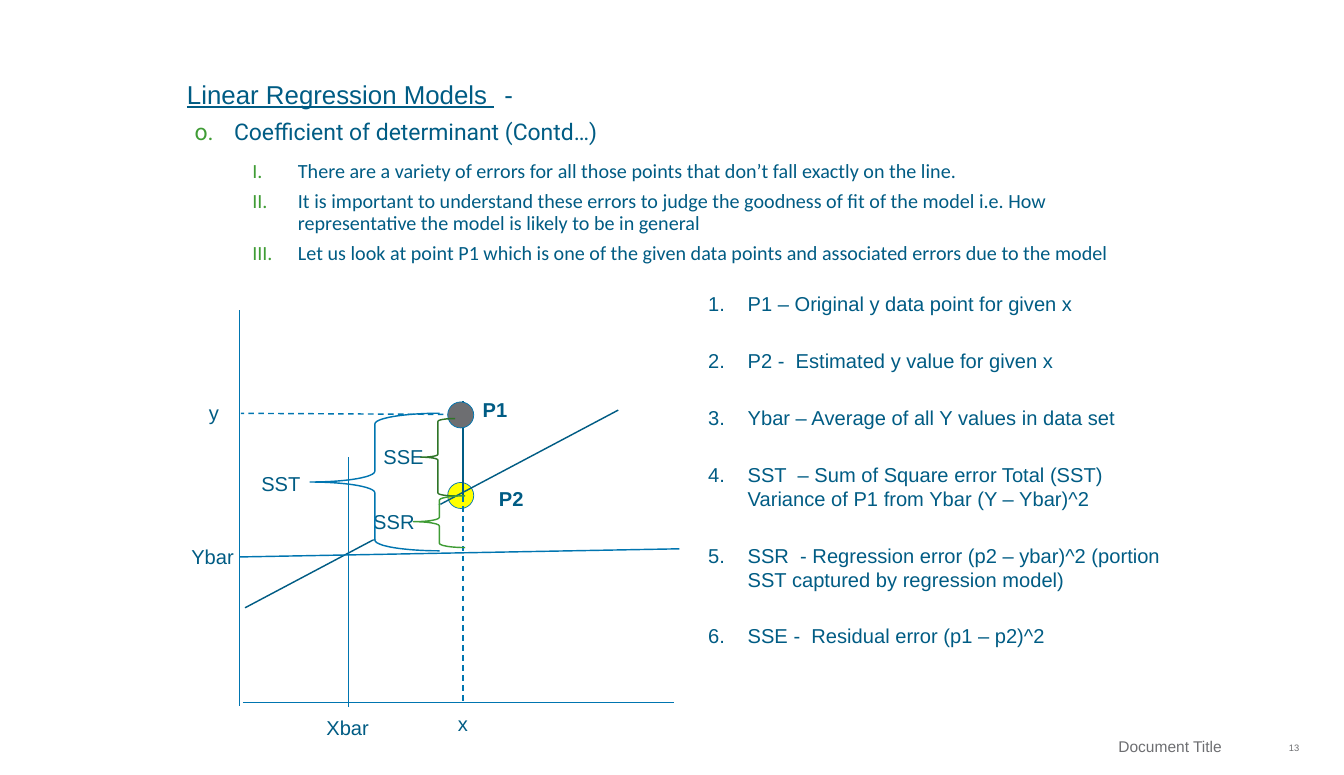
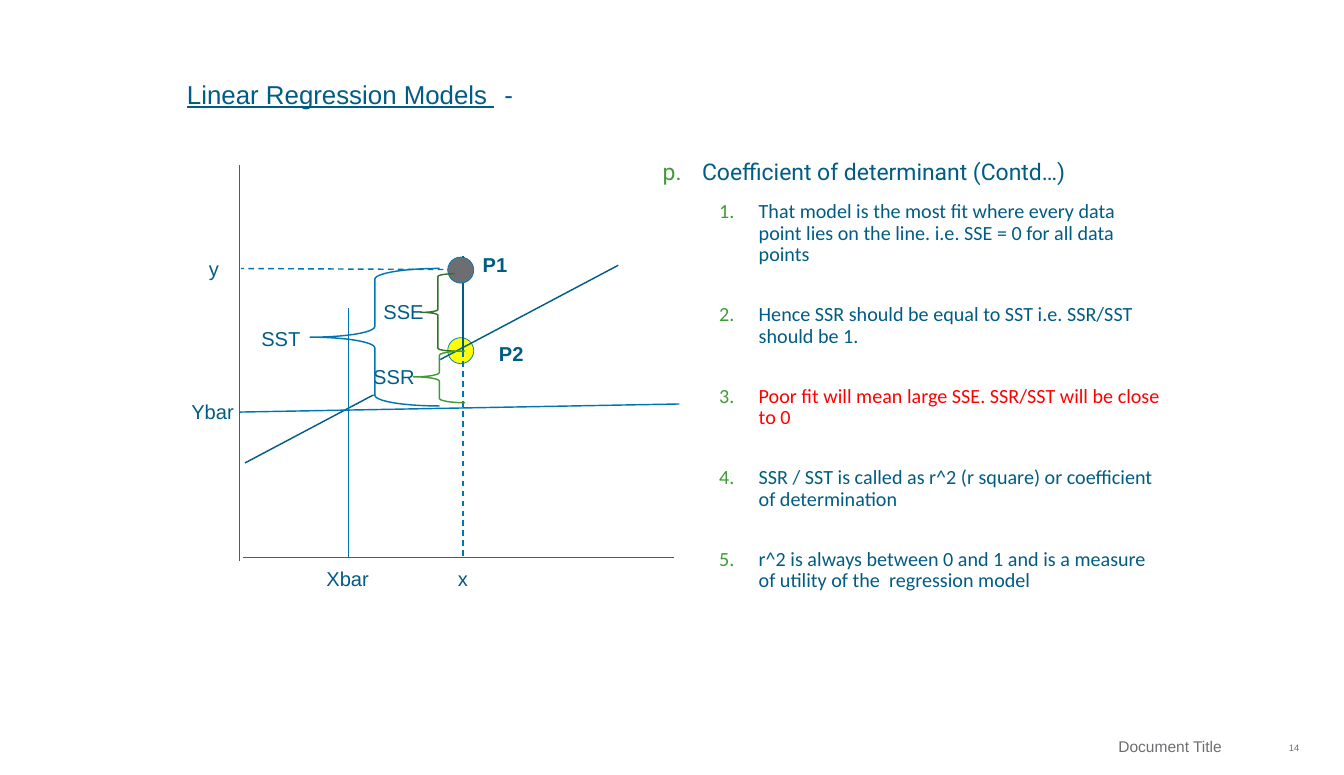
"""Build two slides on the coefficient of determination in linear regression."""
from lxml import etree
from pptx import Presentation
from pptx.dml.color import RGBColor
from pptx.enum.dml import MSO_LINE
from pptx.enum.shapes import MSO_CONNECTOR, MSO_SHAPE
from pptx.enum.text import MSO_ANCHOR, MSO_AUTO_SIZE, PP_ALIGN
from pptx.oxml.ns import qn
from pptx.util import Cm, Pt

STRAIGHT = MSO_CONNECTOR.STRAIGHT
OVAL, BRACE = MSO_SHAPE.OVAL, MSO_SHAPE.LEFT_BRACE
DASH, SOLID = MSO_LINE.DASH, MSO_LINE.SOLID
TOP, MIDDLE = MSO_ANCHOR.TOP, MSO_ANCHOR.MIDDLE
LEFT, RIGHT = PP_ALIGN.LEFT, PP_ALIGN.RIGHT
NO_FIT = MSO_AUTO_SIZE.NONE

NAVY, BLUE, GREEN, FOREST = "005C84", "0075B0", "3F9C35", "2F7528"
GREY, YELLOW, RED, WHITE = "6D6E71", "FFFF00", "FF0000", "FFFFFF"

TITLE = ("Linear Regression Models ", "\t -")
TITLE_BOX = (4.34, 1.8, 23.39, 1.14)
FOOTER = "Document Title"
FOOTER_BOX = (18.87, 17.98, 11.58, 0.71)
NUMBER_BOX = (30.73, 17.96, 1.19, 0.84)

TITLE_FONT = {"name": "Arial", "size": Pt(18)}
HEADING_FONT = {"name": "Roboto", "size": Pt(16)}
ITEM_FONT = {"name": "Calibri", "size": Pt(14)}
LABEL_FONT = {"name": "Arial", "size": Pt(14)}
FOOTER_FONT = {"name": "Arial", "size": Pt(10.8)}
NUMBER_FONT = {"name": "Arial", "size": Pt(6.5)}

SLIDES = [
    {
        "number": "13",
        "heading": "Coefficient of determinant (Contd…)",
        "heading_start": 15,
        "body_box": (4.78, 2.97, 22.86, 3.58),
        "numbering": "romanUcPeriod",
        "item_indent": (2.54, 1.12),
        "item_gap": 6,
        "items": [
            ("There are a variety of errors for all those points that don’t fall exactly on the line.", NAVY),
            ("It is important to understand these errors to judge the goodness of fit of the model "
             "i.e. How representative the model is likely to be in general", NAVY),
            ("Let us look at point P1 which is one of the given data points and associated errors "
             "due to the model", NAVY),
        ],
        "terms": [
            "P1 – Original y data point for given x",
            "P2 -  Estimated y value for given x",
            "Ybar – Average of all Y values in data set",
            "SST  – Sum of Square error Total (SST) Variance of P1 from Ybar (Y – Ybar)^2",
            "SSR  - Regression error (p2 – ybar)^2 (portion SST captured by regression model)",
            "SSE -  Residual error (p1 – p2)^2",
        ],
        "diagram_top": 7.62,
        "xbar_drop": 0.1,
    },
    {
        "number": "14",
        "heading": "Coefficient of determinant (Contd…)",
        "heading_start": 16,
        "body_box": (16.28, 3.96, 12.29, 11.18),
        "numbering": "arabicPeriod",
        "item_indent": (2.36, 0.97),
        "item_gap": 26.5,
        "items": [
            ("That model is the most fit where every data point lies on the line. "
             "i.e. SSE = 0 for all data points", NAVY),
            ("Hence SSR should be equal to SST i.e. SSR/SST should be 1.", NAVY),
            ("Poor fit will mean large SSE. SSR/SST will be close to 0", RED),
            ("SSR / SST is called as r^2 (r square) or coefficient of determination", NAVY),
            ("r^2 is always between 0 and 1 and is a measure of utility of the  regression model", NAVY),
        ],
        "terms": [],
        "diagram_top": 4.06,
        "xbar_drop": 0,
    },
]

TERMS_BOX = (17.15, 7.04, 11.71, 10.06)
HEADING_INDENT = (0.97, 0.97)

ESTIMATED_POINT = (11, 4.24, YELLOW)
OBSERVED_POINT = (11, 2.26, GREY)
POINT_SIZE = 0.64
LINES = [
    (11.63, 2.57, 5.92, 2.54, BLUE, DASH),
    (6.02, 7.32, 15.19, 2.46, NAVY, SOLID),
    (5.97, 9.65, 16.56, 9.65, BLUE, SOLID),
    (5.89, 9.73, 5.89, 0, BLUE, SOLID),
    (11.38, 4.57, 11.38, 9.65, BLUE, DASH),
    (11.38, 4.57, 11.38, 2.24, NAVY, SOLID),
    (5.89, 6.07, 16.69, 5.87, BLUE, SOLID),
]
XBAR_LINE = (8.56, 9.65, 8.56, 3.51, BLUE, SOLID)
LABELS = [
    ("SSR", 8.92, 4.78, 1.91, False),
    ("SSE", 9.17, 3.18, 1.65, False),
    ("P1", 11.61, 2.03, 1.73, True),
    ("Ybar", 4.45, 5.64, 2.11, False),
    ("SST", 6.17, 3.84, 1.47, False),
    ("y", 4.88, 2.11, 0.84, False),
    ("x", 11, 9.75, 0.84, False),
    ("P2", 12.01, 4.22, 1.73, True),
]
XBAR_LABEL = ("Xbar", 7.77, 9.73, 2.11, False)
LABEL_HEIGHT = 0.86
BRACES = [
    (10.34, 2.67, 0.84, 1.9, FOREST),
    (10.16, 4.57, 1.27, 1.27, GREEN),
    (7.62, 2.54, 3.18, 3.38, BLUE),
]


def rgb(color):
    return RGBColor.from_string(color)


def cm(values):
    return [Cm(value) for value in values]


def apply(target, values):
    for name, value in values.items():
        setattr(target, name, value)


def write(paragraph, text, font, color):
    run = paragraph.add_run()
    run.text = text
    apply(run.font, font)
    run.font.color.rgb = rgb(color)
    return run


def place(shape, box):
    apply(shape, dict(zip(("left", "top", "width", "height"), cm(box))))


def frame(shape, anchor=TOP, **margins):
    values = {"word_wrap": True, "auto_size": NO_FIT, "vertical_anchor": anchor}
    apply(shape.text_frame, {**values, **margins})
    return shape.text_frame


def no_margins(**changes):
    sides = ("margin_left", "margin_top", "margin_right", "margin_bottom")
    return {**dict.fromkeys(sides, 0), **changes}


def number(paragraph, scheme, indent, color, start=1):
    properties = paragraph._p.get_or_add_pPr()
    margin, hanging = cm(indent)
    properties.set("marL", str(margin))
    properties.set("indent", str(-hanging))
    marker = etree.SubElement(properties, qn("a:buClr"))
    etree.SubElement(marker, qn("a:srgbClr"), val=color)
    etree.SubElement(properties, qn("a:buAutoNum"), type=scheme, startAt=str(start))


def next_paragraph(text_frame, index):
    return text_frame.add_paragraph() if index else text_frame.paragraphs[0]


def add_title(slide):
    place(slide.shapes.title, TITLE_BOX)
    paragraph = frame(slide.shapes.title).paragraphs[0]
    paragraph.alignment = LEFT
    for text, underline in zip(TITLE, (True, False)):
        write(paragraph, text, {**TITLE_FONT, "underline": underline}, NAVY)


def add_footer(slide, page):
    for text, box, font, inset in (
        (page, NUMBER_BOX, NUMBER_FONT, 0),
        (FOOTER, FOOTER_BOX, FOOTER_FONT, Cm(0.43)),
    ):
        note = slide.shapes.add_textbox(*cm(box))
        paragraph = frame(note, MIDDLE, **no_margins(margin_right=inset)).paragraphs[0]
        paragraph.alignment = RIGHT
        write(paragraph, text, font, GREY)


def add_body(slide, content):
    body = slide.placeholders[1]
    place(body, content["body_box"])
    outline = frame(body, **no_margins())
    heading = outline.paragraphs[0]
    number(heading, "alphaLcPeriod", HEADING_INDENT, GREEN, content["heading_start"])
    apply(heading, {"line_spacing": 0.9, "space_before": Pt(0), "space_after": Pt(4.5)})
    write(heading, content["heading"], HEADING_FONT, NAVY)
    for index, (text, color) in enumerate(content["items"]):
        item = outline.add_paragraph()
        item.level = 1
        number(item, content["numbering"], content["item_indent"], GREEN)
        gap = content["item_gap"] if index else 6
        apply(item, {"line_spacing": 0.9, "space_before": Pt(gap), "space_after": Pt(0)})
        write(item, text, ITEM_FONT, color)


def add_terms(slide, terms):
    glossary = frame(slide.shapes.add_textbox(*cm(TERMS_BOX)))
    for index, term in enumerate(terms):
        paragraph = next_paragraph(glossary, index)
        number(paragraph, "arabicPeriod", HEADING_INDENT, NAVY)
        paragraph.space_before = Pt(22.8 if index else 0)
        write(paragraph, term, LABEL_FONT, NAVY)


def add_line(slide, top, x1, y1, x2, y2, color, dash):
    line = slide.shapes.add_connector(STRAIGHT, *cm((x1, top + y1, x2, top + y2)))
    apply(line.line, {"width": Pt(1), "dash_style": dash})
    line.line.color.rgb = rgb(color)
    etree.SubElement(line._element.spPr, qn("a:effectLst"))


def add_outlined(slide, kind, box, color, width):
    shape = slide.shapes.add_shape(kind, *cm(box))
    shape.shadow.inherit = False
    shape.fill.background()
    shape.line.color.rgb = rgb(color)
    shape.line.width = Pt(width)
    return shape


def add_point(slide, top, x, y, color):
    point = add_outlined(slide, OVAL, (x, top + y, POINT_SIZE, POINT_SIZE), BLUE, 0.5)
    point.fill.solid()
    point.fill.fore_color.rgb = rgb(color)


def add_label(slide, top, text, x, y, width, bold):
    label = slide.shapes.add_textbox(*cm((x, top + y, width, LABEL_HEIGHT)))
    if text == "SSR":
        label.fill.solid()
        label.fill.fore_color.rgb = rgb(WHITE)
    paragraph = frame(label, margin_right=0).paragraphs[0]
    write(paragraph, text, {**LABEL_FONT, "bold": bold}, NAVY)


def add_diagram(slide, top, xbar_drop):
    add_point(slide, top, *ESTIMATED_POINT)
    for line in LINES:
        add_line(slide, top, *line)
    add_point(slide, top, *OBSERVED_POINT)
    for label in LABELS:
        add_label(slide, top, *label)
    for x, y, width, height, color in BRACES:
        add_outlined(slide, BRACE, (x, top + y, width, height), color, 1)
    add_line(slide, top + xbar_drop, *XBAR_LINE)
    add_label(slide, top + xbar_drop, *XBAR_LABEL)


def main():
    deck = Presentation()
    apply(deck, {"slide_width": Cm(33.02), "slide_height": Cm(19.05)})
    for content in SLIDES:
        slide = deck.slides.add_slide(deck.slide_layouts[1])
        add_title(slide)
        add_footer(slide, content["number"])
        add_body(slide, content)
        if content["terms"]:
            add_terms(slide, content["terms"])
        add_diagram(slide, content["diagram_top"], content["xbar_drop"])
    deck.save("out.pptx")


if __name__ == "__main__":
    main()
